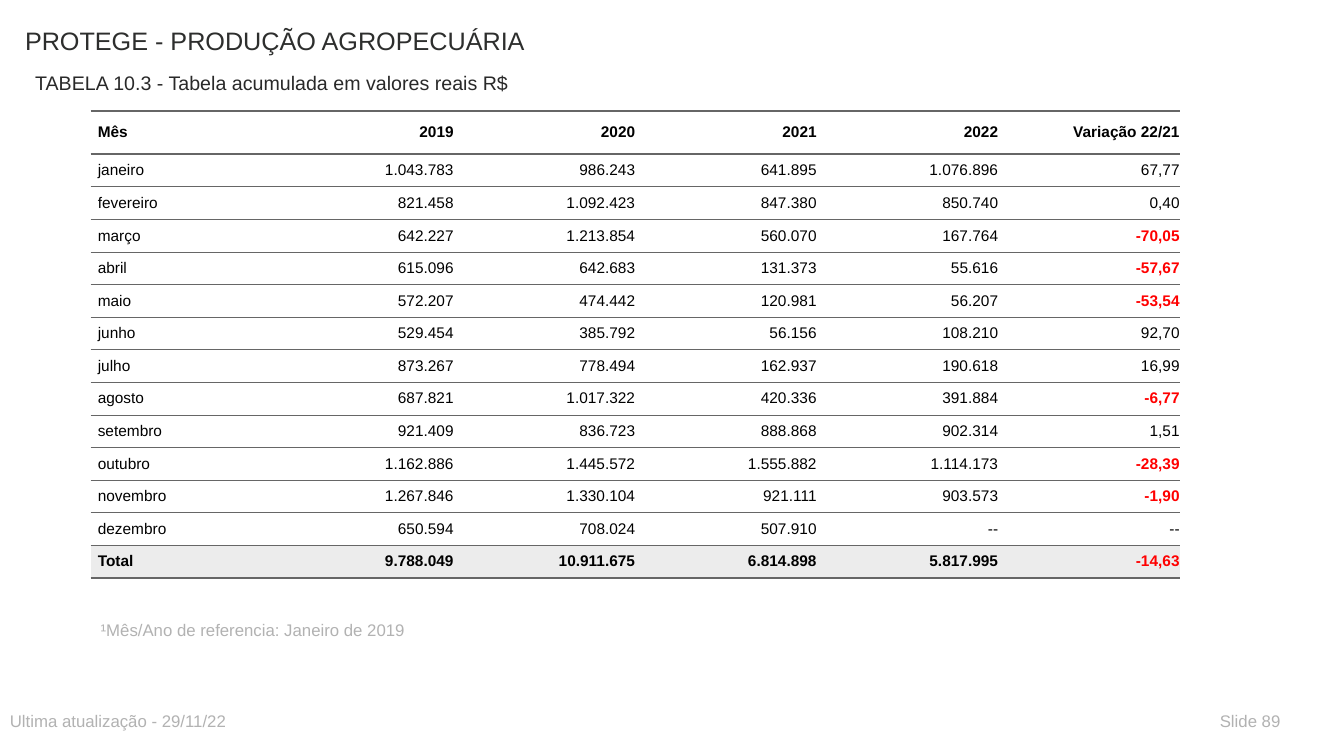
from lxml import etree
from pptx import Presentation
from pptx.dml.color import RGBColor
from pptx.enum.text import MSO_ANCHOR, PP_ALIGN
from pptx.oxml.ns import qn
from pptx.util import Inches, Pt

LEFT, RIGHT = PP_ALIGN.LEFT, PP_ALIGN.RIGHT
MIDDLE = MSO_ANCHOR.MIDDLE

FONT = "Arial"
TITLE_COLOR = RGBColor(0x2D, 0x2E, 0x2D)
SUBTITLE_COLOR = RGBColor(0x29, 0x29, 0x29)
NOTE_COLOR = RGBColor(0xB2, 0xB2, 0xB2)
BLACK = RGBColor(0x00, 0x00, 0x00)
WHITE = RGBColor(0xFF, 0xFF, 0xFF)
NEGATIVE_RED = RGBColor(0xFF, 0x00, 0x00)
TOTAL_FILL = RGBColor(0xEC, 0xEC, 0xEC)
RULE_COLOR = RGBColor(0x66, 0x66, 0x66)

# text, (left, top, width, height), size, colour
TEXTS = [
    ("PROTEGE - PRODUÇÃO AGROPECUÁRIA", (0.15, 0.2, 8, 0.59), 18, TITLE_COLOR),
    ("TABELA 10.3 - Tabela acumulada em valores reais R$",
     (0.25, 0.65, 6.5, 0.3), 14, SUBTITLE_COLOR),
    ("¹Mês/Ano de referencia: Janeiro de 2019", (0.9, 6.1, 6.5, 0.3), 12, NOTE_COLOR),
    ("Ultima atualização - 29/11/22", (0, 7, 6.5, 0.3), 12, NOTE_COLOR),
    ("Slide 89", (12, 7, 0.9, 0.3), 12, NOTE_COLOR),
]

ROWS = [
    ("Mês", "2019", "2020", "2021", "2022", "Variação 22/21"),
    ("janeiro", "1.043.783", "986.243", "641.895", "1.076.896", "67,77"),
    ("fevereiro", "821.458", "1.092.423", "847.380", "850.740", "0,40"),
    ("março", "642.227", "1.213.854", "560.070", "167.764", "-70,05"),
    ("abril", "615.096", "642.683", "131.373", "55.616", "-57,67"),
    ("maio", "572.207", "474.442", "120.981", "56.207", "-53,54"),
    ("junho", "529.454", "385.792", "56.156", "108.210", "92,70"),
    ("julho", "873.267", "778.494", "162.937", "190.618", "16,99"),
    ("agosto", "687.821", "1.017.322", "420.336", "391.884", "-6,77"),
    ("setembro", "921.409", "836.723", "888.868", "902.314", "1,51"),
    ("outubro", "1.162.886", "1.445.572", "1.555.882", "1.114.173", "-28,39"),
    ("novembro", "1.267.846", "1.330.104", "921.111", "903.573", "-1,90"),
    ("dezembro", "650.594", "708.024", "507.910", "--", "--"),
    ("Total", "9.788.049", "10.911.675", "6.814.898", "5.817.995", "-14,63"),
]

TABLE_LEFT, TABLE_TOP = 0.9, 1.1
COLUMN_WIDTH = 1.8
HEADER_HEIGHT, ROW_HEIGHT = 0.43, 0.31
CELL_PADDING = 0.07
THICK, THIN = 2, 0.5


def style_font(paragraph, size, color, bold=False):
    for span in paragraph.runs:
        span.font.name = FONT
        span.font.size = Pt(size)
        span.font.bold = bold
        span.font.color.rgb = color


def add_text(page, text, place, size, color):
    box = page.shapes.add_textbox(*map(Inches, place))
    box.text_frame.word_wrap = True
    box.text_frame.text = text
    style_font(box.text_frame.paragraphs[0], size, color)


def set_borders(cell, top, bottom):
    """Draw horizontal rules of the given point widths and no vertical ones."""
    properties = cell._tc.get_or_add_tcPr()
    for side, width in (("L", 0), ("R", 0), ("T", top), ("B", bottom)):
        line = etree.SubElement(properties, qn(f"a:ln{side}"), w=str(Pt(width)))
        if width:
            fill = etree.SubElement(line, qn("a:solidFill"))
            etree.SubElement(fill, qn("a:srgbClr"), val=str(RULE_COLOR))
        else:
            etree.SubElement(line, qn("a:noFill"))


def fill_cell(cell, text, row, column):
    is_header, is_total = row == 0, row == len(ROWS) - 1
    is_negative = text.startswith("-") and text != "--"
    set_borders(cell,
                top=THICK if row <= 1 else THIN,
                bottom=THICK if is_header or is_total else THIN)
    cell.fill.solid()
    cell.fill.fore_color.rgb = TOTAL_FILL if is_total else WHITE
    cell.vertical_anchor = MIDDLE
    cell.margin_left = Inches(CELL_PADDING if column == 0 else 0)
    cell.margin_right = 0
    cell.margin_top = cell.margin_bottom = Inches(CELL_PADDING)
    cell.text_frame.text = text
    paragraph = cell.text_frame.paragraphs[0]
    paragraph.alignment = LEFT if column == 0 else RIGHT
    style_font(paragraph, 11, NEGATIVE_RED if is_negative else BLACK,
               bold=is_header or is_total or is_negative)


def add_values_table(page):
    column_count = len(ROWS[0])
    heights = [HEADER_HEIGHT] + [ROW_HEIGHT] * (len(ROWS) - 1)
    table = page.shapes.add_table(
        len(ROWS), column_count, Inches(TABLE_LEFT), Inches(TABLE_TOP),
        Inches(COLUMN_WIDTH * column_count), Inches(sum(heights))).table
    table.first_row = table.horz_banding = False
    for column in table.columns:
        column.width = Inches(COLUMN_WIDTH)
    for row, (values, height) in enumerate(zip(ROWS, heights)):
        table.rows[row].height = Inches(height)
        for column, text in enumerate(values):
            fill_cell(table.cell(row, column), text, row, column)


def main():
    deck = Presentation()
    deck.slide_width, deck.slide_height = Inches(13.33), Inches(7.5)
    page = deck.slides.add_slide(deck.slide_layouts[6])
    for text in TEXTS:
        add_text(page, *text)
    add_values_table(page)
    deck.save("out.pptx")


if __name__ == "__main__":
    main()
